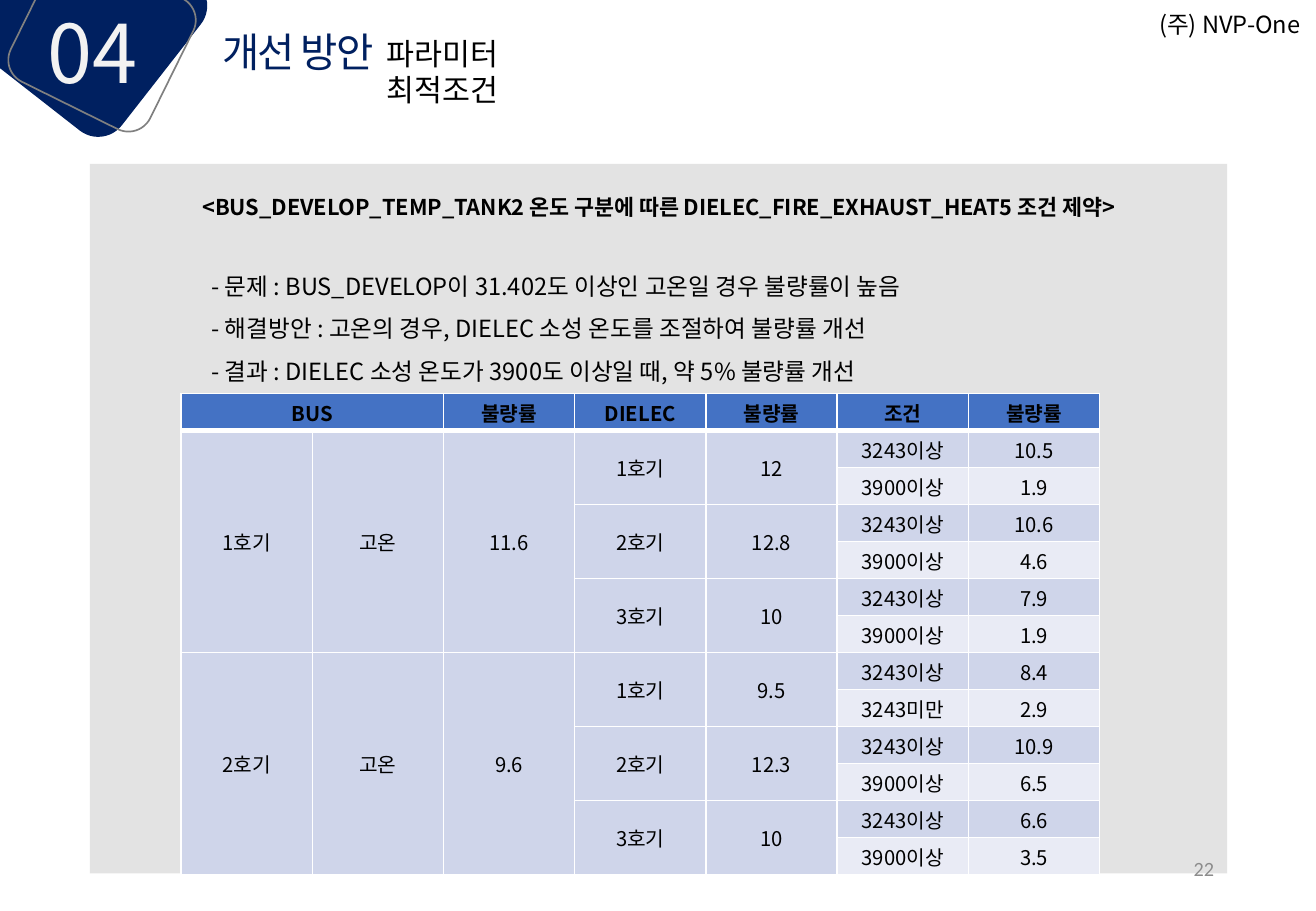
from lxml.etree import SubElement
from pptx import Presentation
from pptx.dml.color import RGBColor
from pptx.enum.shapes import MSO_SHAPE
from pptx.enum.text import MSO_ANCHOR, PP_ALIGN
from pptx.oxml.ns import qn
from pptx.util import Emu, Pt

FONT = "Noto Sans CJK KR"
NAVY, BLACK, WHITE = "002060", "000000", "FFFFFF"
HEADER_BLUE, BAND_DARK, BAND_LIGHT = "4472C4", "CFD5EA", "E9EBF5"

HEADINGS = ["BUS", "", "불량률", "DIELEC", "불량률", "조건", "불량률"]
# BUS unit, temperature, defect rate, then the DIELEC units with their conditions
BUS_UNITS = [
    ("1호기", "고온", "11.6", [
        ("1호기", "12", [("3243이상", "10.5"), ("3900이상", "1.9")]),
        ("2호기", "12.8", [("3243이상", "10.6"), ("3900이상", "4.6")]),
        ("3호기", "10", [("3243이상", "7.9"), ("3900이상", "1.9")]),
    ]),
    ("2호기", "고온", "9.6", [
        ("1호기", "9.5", [("3243이상", "8.4"), ("3243미만", "2.9")]),
        ("2호기", "12.3", [("3243이상", "10.9"), ("3900이상", "6.5")]),
        ("3호기", "10", [("3243이상", "6.6"), ("3900이상", "3.5")]),
    ]),
]
FINDINGS = [
    "- 문제 : BUS_DEVELOP이 31.402도 이상인 고온일 경우 불량률이 높음",
    "- 해결방안 : 고온의 경우, DIELEC 소성 온도를 조절하여 불량률 개선",
    "- 결과 : DIELEC 소성 온도가 3900도 이상일 때, 약 5% 불량률 개선",
]


def px(length):
    """200 px to the inch."""
    return Emu(length * 4572)


def color(value):
    return RGBColor.from_string(value)


def write(paragraph, text, size, ink, bold=False, align=None, spacing=None, font=FONT):
    paragraph.alignment = align
    paragraph.line_spacing = spacing
    run = paragraph.add_run()
    run.text = text
    run.font.size = Pt(size)
    run.font.bold = bold
    run.font.name = font
    run.font.color.rgb = color(ink)
    SubElement(run.font._element, qn("a:ea")).set("typeface", font)
    return run


def add_text(slide, box, lines, size, ink, anchor=MSO_ANCHOR.TOP, **style):
    """Add a text box with one paragraph a line and return its last run."""
    frame = slide.shapes.add_textbox(*map(px, box)).text_frame
    frame.word_wrap = True
    frame.vertical_anchor = anchor
    for index, line in enumerate(lines):
        paragraph = frame.add_paragraph() if index else frame.paragraphs[0]
        run = write(paragraph, line, size, ink, **style)
    return run


def add_shape(slide, kind, box, fill=None, opacity=100, line=None, rotation=0):
    shape = slide.shapes.add_shape(kind, *map(px, box))
    shape.shadow.inherit = False
    shape.rotation = rotation
    if fill:
        shape.fill.solid()
        shape.fill.fore_color.rgb = color(fill)
        if opacity < 100:
            tint = shape.fill._xPr.find(qn("a:solidFill"))[0]
            SubElement(tint, qn("a:alpha")).set("val", str(opacity * 1000))
    else:
        shape.fill.background()
    if line:
        shape.line.color.rgb = color(line)
        shape.line.width = Pt(1)
    else:
        shape.line.fill.background()


def add_section_badge(slide, left, top):
    rounded = MSO_SHAPE.ROUNDED_RECTANGLE
    add_shape(slide, rounded, (left, top, 310, 296), fill=NAVY, rotation=308)
    add_shape(slide, rounded, (left + 54, top + 54, 240, 256), line="808080", rotation=296.3)
    add_text(slide, (left + 64, top + 110, 232, 182), ["04"], 48, "F2F2F2")


def add_title(slide, left, top):
    title = add_text(slide, (left, top, 1414, 100), ["개선 방안"], 24, NAVY, MSO_ANCHOR.MIDDLE)
    title.font._element.set("spc", "-100")
    add_text(slide, (left + 270, top + 14, 400, 80), ["파라미터 최적조건"], 18, BLACK)


def add_panel(slide, left, top, width, height):
    add_shape(slide, MSO_SHAPE.RECTANGLE, (left, top, width, height), "A6A6A6", 31)
    headline = "<BUS_DEVELOP_TEMP_TANK2 온도 구분에 따른 DIELEC_FIRE_EXHAUST_HEAT5 조건 제약>"
    add_text(slide, (left + 122, top + 26, width - 244, 96), [headline], 12.9, BLACK,
             MSO_ANCHOR.MIDDLE, bold=True, align=PP_ALIGN.CENTER, spacing=0.9)
    add_text(slide, (left + 180, top + 128, 1518, 262), FINDINGS, 14, BLACK,
             MSO_ANCHOR.MIDDLE, align=PP_ALIGN.JUSTIFY, spacing=1.5)
    add_defect_table(slide, left + 150, top + 378, 216, 61)


def style_cell(cell, fill, bottom=1):
    cell.vertical_anchor = MSO_ANCHOR.MIDDLE
    cell.margin_top = cell.margin_bottom = px(5)
    properties = cell._tc.get_or_add_tcPr()
    for side, width in (("L", 1), ("R", 1), ("T", 1), ("B", bottom)):
        border = SubElement(properties, qn(f"a:ln{side}"), w=str(Pt(width)))
        solid = SubElement(border, qn("a:solidFill"))
        SubElement(solid, qn("a:srgbClr")).set("val", WHITE)
    cell.fill.solid()
    cell.fill.fore_color.rgb = color(fill)


def add_defect_table(slide, left, top, column_width, row_height):
    columns, rows = len(HEADINGS), 13
    box = (left, top, columns * column_width, rows * row_height)
    table = slide.shapes.add_table(rows, columns, *map(px, box)).table
    table.first_row = table.horz_banding = False
    for row in range(rows):
        for column in range(columns):
            if row == 0:
                style_cell(table.cell(row, column), HEADER_BLUE, bottom=3)
            else:
                style_cell(table.cell(row, column), BAND_DARK if row % 2 else BAND_LIGHT)

    def fill_cell(row, column, text, height=1, width=1, bold=False):
        cell = table.cell(row, column)
        if height * width > 1:
            cell.merge(table.cell(row + height - 1, column + width - 1))
        write(cell.text_frame.paragraphs[0], text, 12, BLACK, bold, PP_ALIGN.CENTER, 1.03)

    for column, heading in enumerate(HEADINGS):
        if heading:
            fill_cell(0, column, heading, width=2 if column == 0 else 1, bold=True)
    row = 1
    for *bus_values, dielec_units in BUS_UNITS:
        for column, text in enumerate(bus_values):
            fill_cell(row, column, text, height=6)
        for *dielec_values, conditions in dielec_units:
            for column, text in enumerate(dielec_values, 3):
                fill_cell(row, column, text, height=2)
            for condition in conditions:
                for column, text in enumerate(condition, 5):
                    fill_cell(row, column, text)
                row += 1


def main():
    presentation = Presentation()
    presentation.slide_width, presentation.slide_height = px(2166), px(1500)
    slide = presentation.slides.add_slide(presentation.slide_layouts[6])
    add_section_badge(slide, -6, -116)
    add_title(slide, 346, 34)
    add_text(slide, (1888, 6, 282, 68), ["(주) NVP-One"], 14, BLACK)
    add_panel(slide, 148, 270, 1872, 1168)
    add_text(slide, (1530, 1390, 488, 80), ["22"], 12, "8C8C8C", MSO_ANCHOR.MIDDLE,
             align=PP_ALIGN.RIGHT, font="Calibri")
    presentation.save("out.pptx")


if __name__ == "__main__":
    main()
